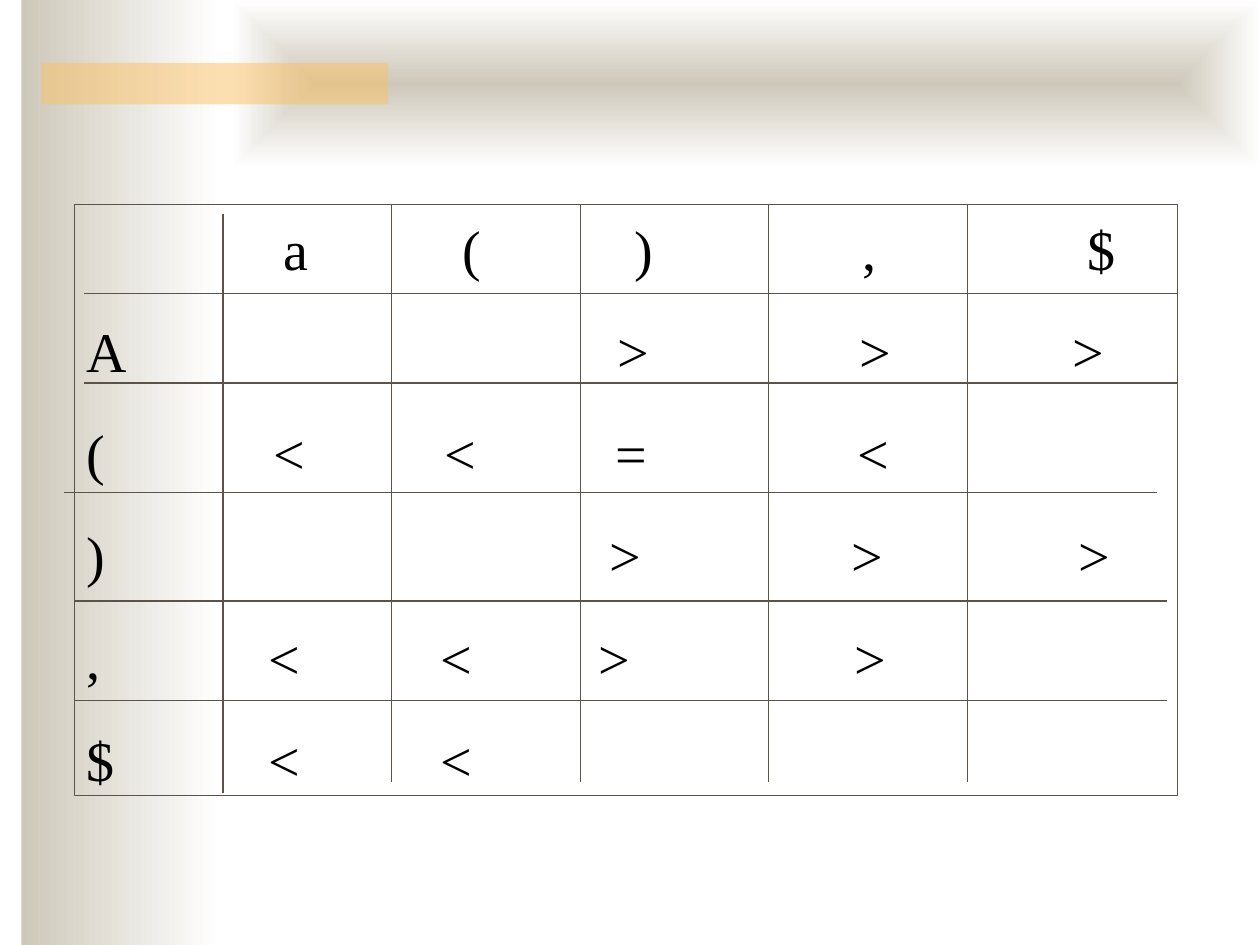
from lxml import etree
from pptx import Presentation
from pptx.dml.color import RGBColor
from pptx.enum.shapes import MSO_CONNECTOR, MSO_SHAPE
from pptx.enum.text import MSO_ANCHOR, PP_ALIGN
from pptx.oxml.ns import qn
from pptx.util import Inches, Pt

RECTANGLE = MSO_SHAPE.RECTANGLE
STRAIGHT = MSO_CONNECTOR.STRAIGHT
TOP, LEFT = MSO_ANCHOR.TOP, PP_ALIGN.LEFT

SAND = RGBColor(0xCE, 0xC8, 0xBA)
WHITE = RGBColor(0xFF, 0xFF, 0xFF)
GOLD = RGBColor(0xFA, 0xC1, 0x64)
BROWN = RGBColor(0x5B, 0x52, 0x49)
BLACK = RGBColor(0, 0, 0)
FONT = "Times New Roman"

# Each row: its symbols, and the tab stops (inches) they are set at
PRECEDENCE_ROWS = [
    (["", "a", "(", ")", ",", "$"], [1.56, 2.98, 4.35, 6.16, 7.94]),
    (["A", ">", ">", ">"], [4.21, 6.13, 7.82]),
    (["(", "<", "<", "=", "<"], [1.48, 2.84, 4.2, 6.12]),
    ([")", ">", ">", ">"], [4.15, 6.07, 7.87]),
    ([",", "<", "<", ">", ">"], [1.44, 2.81, 4.06, 6.09]),
    (["$", "<", "<"], [1.44, 2.81]),
]
# Left end and height of each row rule; position and top end of each column rule
ROW_RULES = [(0.67, 2.33), (0.67, 3.04), (0.51, 3.91), (0.59, 4.77), (0.59, 5.56)]
COLUMN_RULES = [(1.77, 1.7), (3.11, 1.62), (4.61, 1.62), (6.1, 1.62), (7.68, 1.62)]
ROW_RULE_LENGTH, COLUMN_RULE_LENGTH = 8.67, 4.59


def add_rectangle(slide, left, top, width, height):
    shape = slide.shapes.add_shape(
        RECTANGLE, Inches(left), Inches(top), Inches(width), Inches(height))
    shape.shadow.inherit = False
    shape.line.fill.background()
    return shape


def add_gradient_band(slide, box, from_centre=False):
    shape = add_rectangle(slide, *box)
    shape.fill.gradient()
    shape.fill.gradient_angle = 0
    for stop, color in zip(shape.fill.gradient_stops, (SAND, WHITE)):
        stop.color.rgb = color
    if from_centre:
        gradient = shape._element.spPr.find(qn("a:gradFill"))
        gradient.remove(gradient.find(qn("a:lin")))
        shading = etree.SubElement(gradient, qn("a:path"), path="rect")
        etree.SubElement(shading, qn("a:fillToRect"),
                         l="50000", t="50000", r="50000", b="50000")


def add_accent_bar(slide, box):
    shape = add_rectangle(slide, *box)
    shape.fill.solid()
    shape.fill.fore_color.rgb = GOLD
    color = shape._element.spPr.find(qn("a:solidFill"))[0]
    etree.SubElement(color, qn("a:alpha"), val="50000")


def add_precedence_text(slide, box):
    shape = add_rectangle(slide, *box)
    shape.fill.background()
    shape.line.color.rgb = BROWN
    shape.line.width = Pt(0.25)
    frame = shape.text_frame
    frame.word_wrap = True
    frame.vertical_anchor = TOP
    frame.margin_top, frame.margin_bottom = Inches(0.08), Inches(0.02)
    frame.text = "\n".join("\t".join(symbols) for symbols, _ in PRECEDENCE_ROWS)
    for index, (paragraph, (_, stops)) in enumerate(
            zip(frame.paragraphs, PRECEDENCE_ROWS)):
        tabs = etree.SubElement(paragraph._p.get_or_add_pPr(), qn("a:tabLst"))
        for stop in stops:
            etree.SubElement(tabs, qn("a:tab"), pos=str(Inches(stop)), algn="l")
        paragraph.alignment = LEFT
        paragraph.line_spacing = Pt(38.4)
        paragraph.space_before = Pt(20 if index else 0)
        for run in paragraph.runs:
            run.font.size = Pt(32)
            run.font.name = FONT
            run.font.color.rgb = BLACK


def add_rule(slide, left, top, width, height):
    rule = slide.shapes.add_connector(
        STRAIGHT, Inches(left), Inches(top),
        Inches(left + width), Inches(top + height))
    rule.line.color.rgb = BROWN
    rule.line.width = Pt(0.75)
    etree.SubElement(rule._element.spPr, qn("a:effectLst"))


def add_precedence_grid(slide, box):
    add_precedence_text(slide, box)
    for left, top in ROW_RULES:
        add_rule(slide, left, top, ROW_RULE_LENGTH, 0)
    for left, top in COLUMN_RULES:
        add_rule(slide, left, top, 0, COLUMN_RULE_LENGTH)


def main():
    presentation = Presentation()
    presentation.slide_width = Inches(10)
    presentation.slide_height = Inches(7.5)
    slide = presentation.slides.add_slide(presentation.slide_layouts[6])

    # Background decoration
    add_gradient_band(slide, (0.17, 0, 1.58, 7.5))
    add_gradient_band(slide, (1.83, 0, 8.17, 1.33), from_centre=True)
    add_accent_bar(slide, (0.33, 0.5, 2.75, 0.33))

    # Operator precedence relations
    add_precedence_grid(slide, (0.59, 1.62, 8.75, 4.69))
    presentation.save("out.pptx")


if __name__ == "__main__":
    main()
